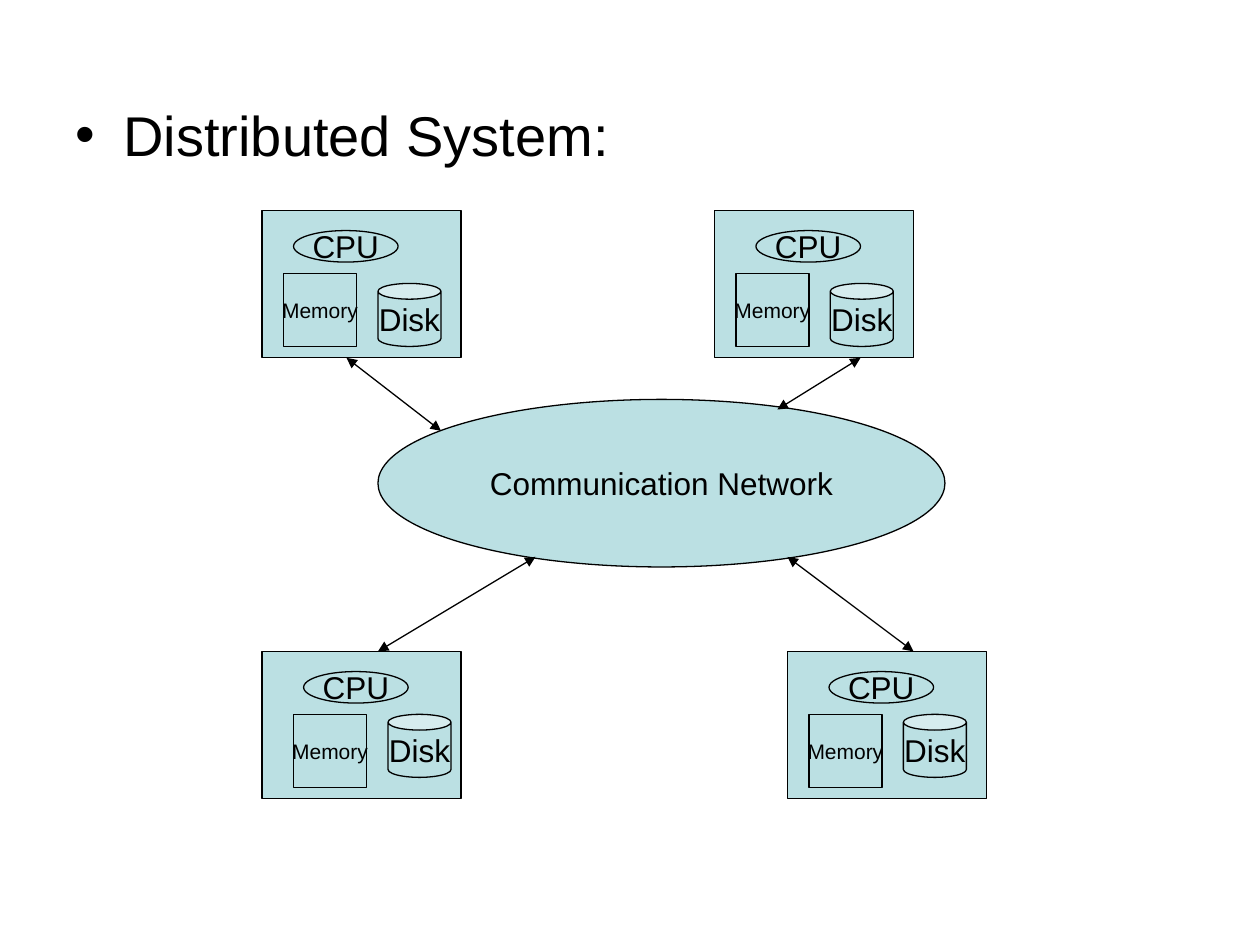
from dataclasses import dataclass

import pptx
import pptx.dml.color
import pptx.enum.shapes
import pptx.enum.text
import pptx.oxml.ns
import pptx.util
from lxml import etree

Inches = pptx.util.Inches
Pt = pptx.util.Pt
RGB = pptx.dml.color.RGBColor
MSO = pptx.enum.shapes.MSO_SHAPE
ALIGN = pptx.enum.text.PP_ALIGN
ANCHOR = pptx.enum.text.MSO_ANCHOR
qn = pptx.oxml.ns.qn


@dataclass(frozen=True)
class Theme:
    """Colours, font and sizes of the slide."""
    font: str = "Arial"
    ink: RGB = RGB(0, 0, 0)
    fill: RGB = RGB(0xBB, 0xE0, 0xE3)
    heading: int = 32
    label: int = 18
    small: int = 12
    line: float = 0.74


THEME = Theme()


def set_text(tf, text, size=THEME.label, align=ALIGN.CENTER, anchor=ANCHOR.MIDDLE, wrap=False):
    """Write one formatted paragraph and return it."""
    tf.word_wrap = wrap
    tf.vertical_anchor = anchor
    p = tf.paragraphs[0]
    p.alignment = align
    r = p.add_run()
    r.text = text
    r.font.name = THEME.font
    r.font.size = Pt(size)
    r.font.color.rgb = THEME.ink
    return p


def add_box(s, kind, x, y, w, h, text="", size=THEME.label):
    """Add a filled and outlined shape with an optional label."""
    sp = s.shapes.add_shape(kind, Inches(x), Inches(y), Inches(w), Inches(h))
    sp.shadow.inherit = False
    sp.fill.solid()
    sp.fill.fore_color.rgb = THEME.fill
    sp.line.color.rgb = THEME.ink
    sp.line.width = Pt(THEME.line)
    if text:
        set_text(sp.text_frame, text, size=size)
    return sp


def add_computer(s, x, y, cpu_dx, memory_dx, disk_dy):
    """Add a computer with its CPU, memory and disk."""
    add_box(s, MSO.RECTANGLE, x, y, 1.58, 1.17)
    add_box(s, MSO.OVAL, x + cpu_dx, y + 0.16, 0.83, 0.25, "CPU")
    add_box(s, MSO.RECTANGLE, x + memory_dx, y + 0.5, 0.58, 0.58, "Memory", THEME.small)
    add_box(s, MSO.CAN, x + memory_dx + 0.75, y + disk_dy, 0.5, 0.5, "Disk")


def add_link(s, x1, y1, x2, y2):
    """Add a line with an arrowhead at each end."""
    c = s.shapes.add_connector(pptx.enum.shapes.MSO_CONNECTOR.STRAIGHT,
                               Inches(x1), Inches(y1), Inches(x2), Inches(y2))
    c.line.color.rgb = THEME.ink
    c.line.width = Pt(THEME.line)
    ln = c.line._get_or_add_ln()
    for end in ("a:headEnd", "a:tailEnd"):
        etree.SubElement(ln, qn(end)).set("type", "triangle")
    etree.SubElement(c._element.spPr, qn("a:effectLst"))


def add_heading(s, text, x, y, w, h):
    """Place the body placeholder and write its bullet."""
    sp = s.placeholders[1]
    sp.left, sp.top, sp.width, sp.height = (Inches(v) for v in (x, y, w, h))
    p = set_text(sp.text_frame, text, size=THEME.heading, align=ALIGN.LEFT,
                 anchor=ANCHOR.TOP, wrap=True)
    p.space_before = Pt(8)
    pPr = p._p.get_or_add_pPr()
    pPr.set("marL", str(Inches(0.38)))
    pPr.set("indent", str(-Inches(0.38)))
    etree.SubElement(pPr, qn("a:buFont")).set("typeface", THEME.font)
    etree.SubElement(pPr, qn("a:buChar")).set("char", "•")


def add_network(s, x, y, w, h):
    """Add the network, the computers around it and their links."""
    add_box(s, MSO.OVAL, x, y, w, h, "Communication Network")
    left, top, bottom = x - 0.92, y - 1.5, y + 2
    computers = [
        (left, top, 0.25, 0.17, 0.58),
        (x + 2.67, top, 0.33, 0.17, 0.58),
        (left, bottom, 0.33, 0.25, 0.5),
        (x + 3.25, bottom, 0.33, 0.17, 0.5),
    ]
    for computer in computers:
        add_computer(s, *computer)
    links = [
        (-0.25, -0.33, 0.5, 0.25),
        (3.83, -0.33, 3.17, 0.08),
        (1.25, 1.25, 0, 2),
        (3.25, 1.25, 4.25, 2),
    ]
    for x1, y1, x2, y2 in links:
        add_link(s, x + x1, y + y1, x + x2, y + y2)


def main():
    """Build and save the slide."""
    prs = pptx.Presentation()
    prs.slide_width, prs.slide_height = Inches(10), Inches(7.5)
    s = prs.slides.add_slide(prs.slide_layouts[1])
    title = s.shapes.title._element
    title.getparent().remove(title)
    add_heading(s, "Distributed System:", 0.5, 0.75, 9, 5.95)
    add_network(s, 3, 3.17, 4.5, 1.33)
    prs.save("out.pptx")


main()
